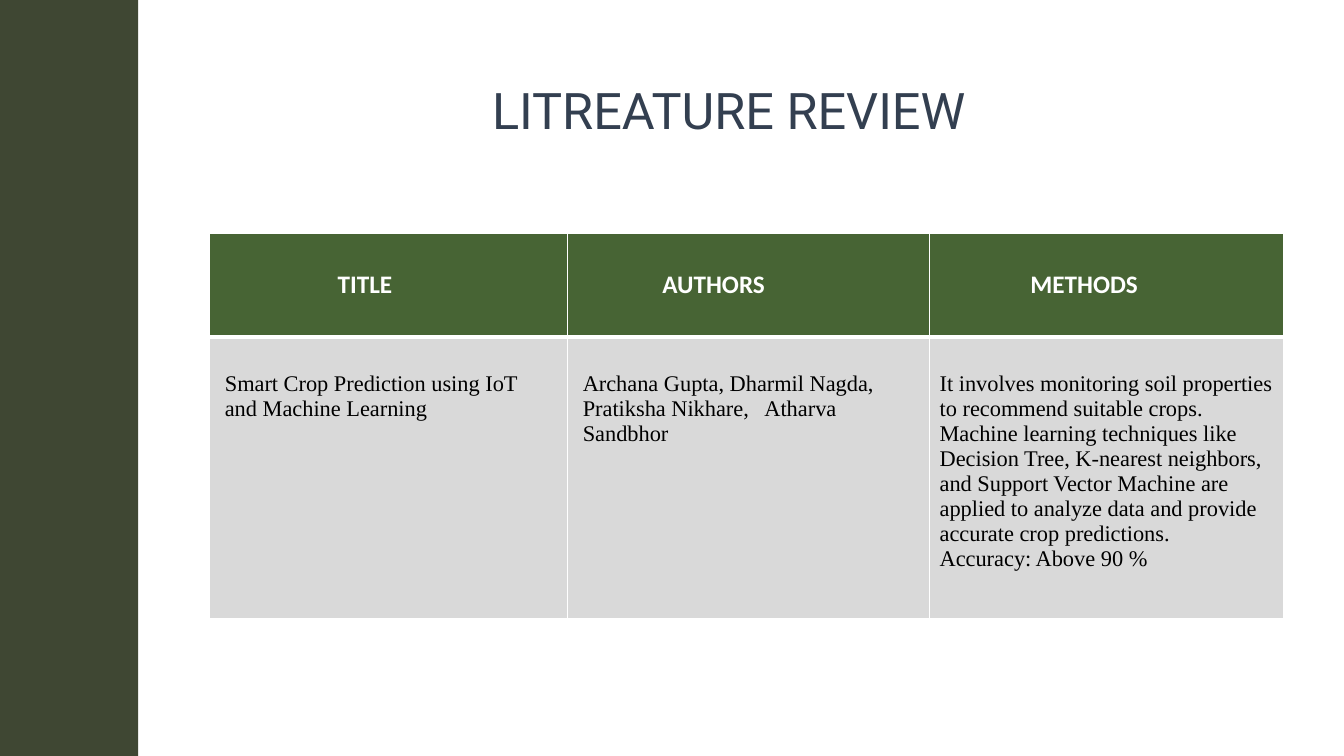
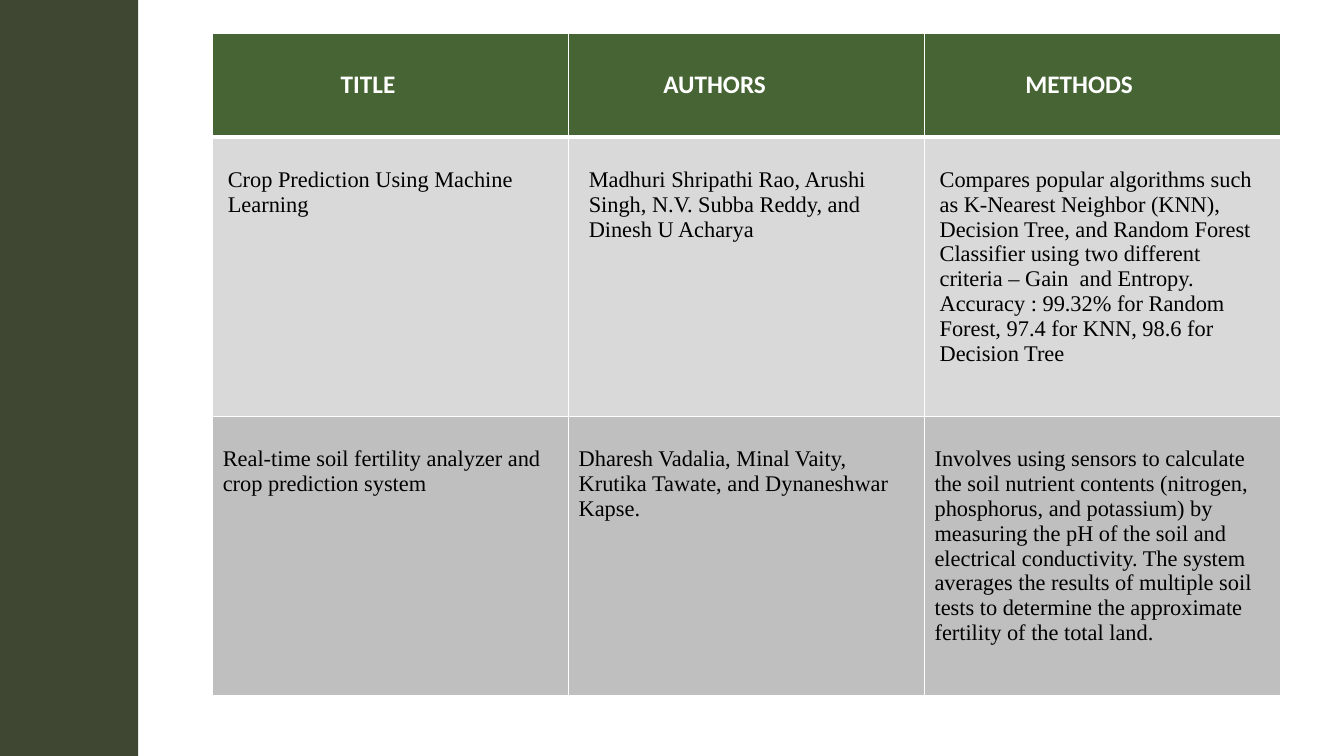
from dataclasses import dataclass
from lxml import etree
from pptx import Presentation
from pptx.dml.color import RGBColor as RGB
from pptx.enum.shapes import MSO_SHAPE as Shape
from pptx.enum.text import MSO_ANCHOR as Anchor, PP_ALIGN as Align
from pptx.oxml.ns import qn
from pptx.util import Inches, Pt


@dataclass(frozen=True)
class Theme:
    band: str = "3F4733"
    head: str = "385723"
    rows: tuple = ("D9D9D9", "BFBFBF")
    title: str = "333F50"
    white: str = "FFFFFF"
    ink: str = "000000"
    title_font: str = "Roboto"
    head_font: str = "Calibri"
    body_font: str = "Times New Roman"
    title_size: int = 36
    head_size: int = 18
    body_size: int = 16
    rule: int = 1
    head_rule: int = 3


theme = Theme()


def style(frame, font, size, color, bold=False):
    for para in frame.paragraphs:
        para.alignment = Align.LEFT
        for run in para.runs:
            run.font.name = font
            run.font.size = Pt(size)
            run.font.bold = bold
            run.font.color.rgb = RGB.from_string(color)


def paint(cell, color, base, alpha=100):
    """Give a cell white rules, the lower one base points wide, and a fill."""
    props = cell._tc.get_or_add_tcPr()
    for side, width in (("L", theme.rule), ("R", theme.rule), ("B", base)):
        line = etree.SubElement(props, qn(f"a:ln{side}"), w=str(Pt(width)))
        fill = etree.SubElement(line, qn("a:solidFill"))
        etree.SubElement(fill, qn("a:srgbClr"), val=theme.white)
    cell.fill.solid()
    cell.fill.fore_color.rgb = RGB.from_string(color)
    if alpha < 100:
        tint = props.find(qn("a:solidFill")).find(qn("a:srgbClr"))
        etree.SubElement(tint, qn("a:alpha"), val=str(alpha * 1000))


# Each heading and each body cell: left margin in inches, then text
heads = [(1.27, "TITLE"), (0.94, "AUTHORS"), (1.0, "METHODS")]

pages = [
    {
        "title": "LITREATURE REVIEW",
        "left": 2.08, "top": 2.32, "cols": (3.55, 3.59, 3.51),
        "head": 1.02, "row": 2.8, "pad": 0.35,
        "papers": [[
            (0.15, "Smart Crop Prediction using IoT\nand Machine Learning"),
            (0.15, "Archana Gupta, Dharmil Nagda,\n"
                   "Pratiksha Nikhare,   Atharva\nSandbhor"),
            (0.1, "It involves monitoring soil properties to recommend "
                  "suitable crops.\n"
                  "Machine learning techniques like Decision Tree, K-nearest "
                  "neighbors, and Support Vector Machine are applied to "
                  "analyze data and provide accurate crop predictions.\n"
                  "Accuracy: Above 90 %"),
        ]],
    },
    {
        "title": None,
        "left": 2.11, "top": 0.33, "cols": (3.53, 3.53, 3.53),
        "head": 1.03, "row": 2.77, "pad": 0.3,
        "papers": [[
            (0.15, "Crop Prediction Using Machine\nLearning"),
            (0.2, "Madhuri Shripathi Rao, Arushi\n"
                  "Singh, N.V. Subba Reddy, and\nDinesh U Acharya"),
            (0.15, "Compares popular algorithms such\n"
                   "as K-Nearest Neighbor (KNN),\n"
                   "Decision Tree, and Random Forest\n"
                   "Classifier using two different\n"
                   "criteria – Gain  and Entropy.\n"
                   "Accuracy : 99.32% for Random\n"
                   "Forest, 97.4 for KNN, 98.6 for\nDecision Tree"),
        ], [
            (0.1, "Real-time soil fertility analyzer and crop prediction "
                  "system"),
            (0.1, "Dharesh Vadalia, Minal Vaity, Krutika Tawate, and "
                  "Dynaneshwar Kapse."),
            (0.1, "Involves using sensors to calculate the soil nutrient "
                  "contents (nitrogen, phosphorus, and potassium) by "
                  "measuring the pH of the soil and electrical conductivity. "
                  "The system averages the results of multiple soil tests to "
                  "determine the approximate fertility of the total land."),
        ]],
    },
]

deck = Presentation()
deck.slide_width = Inches(13.33)
deck.slide_height = Inches(7.5)
title_only, blank = deck.slide_layouts[5], deck.slide_layouts[6]

for page in pages:
    slide = deck.slides.add_slide(title_only if page["title"] else blank)

    band = slide.shapes.add_shape(
        Shape.RECTANGLE, 0, 0, Inches(1.37), deck.slide_height)
    band.shadow.inherit = False
    band.fill.solid()
    band.fill.fore_color.rgb = RGB.from_string(theme.band)
    band.line.fill.background()

    if page["title"]:
        title = slide.shapes.title
        title.left, title.top = Inches(4.78), Inches(0.73)
        title.width, title.height = Inches(7.68), Inches(0.71)
        frame = title.text_frame
        frame.text = page["title"]
        frame.vertical_anchor = Anchor.MIDDLE
        style(frame, theme.title_font, theme.title_size, theme.title)

    papers, cols = page["papers"], page["cols"]
    high = page["head"] + page["row"] * len(papers)
    table = slide.shapes.add_table(
        len(papers) + 1, len(cols), Inches(page["left"]), Inches(page["top"]),
        Inches(sum(cols)), Inches(high)).table
    for col, width in zip(table.columns, cols):
        col.width = Inches(width)

    for i, texts in enumerate([heads, *papers]):
        is_head = i == 0
        table.rows[i].height = Inches(page["head" if is_head else "row"])
        for j, (margin, text) in enumerate(texts):
            cell = table.cell(i, j)
            cell.text_frame.text = text
            cell.margin_left = Inches(margin)
            if is_head:
                cell.vertical_anchor = Anchor.MIDDLE
                paint(cell, theme.head, theme.head_rule, 92)
                style(cell.text_frame, theme.head_font, theme.head_size,
                      theme.white, True)
            else:
                cell.margin_top = Inches(page["pad"])
                paint(cell, theme.rows[i - 1], theme.rule)
                style(cell.text_frame, theme.body_font, theme.body_size,
                      theme.ink)

deck.save("out.pptx")
